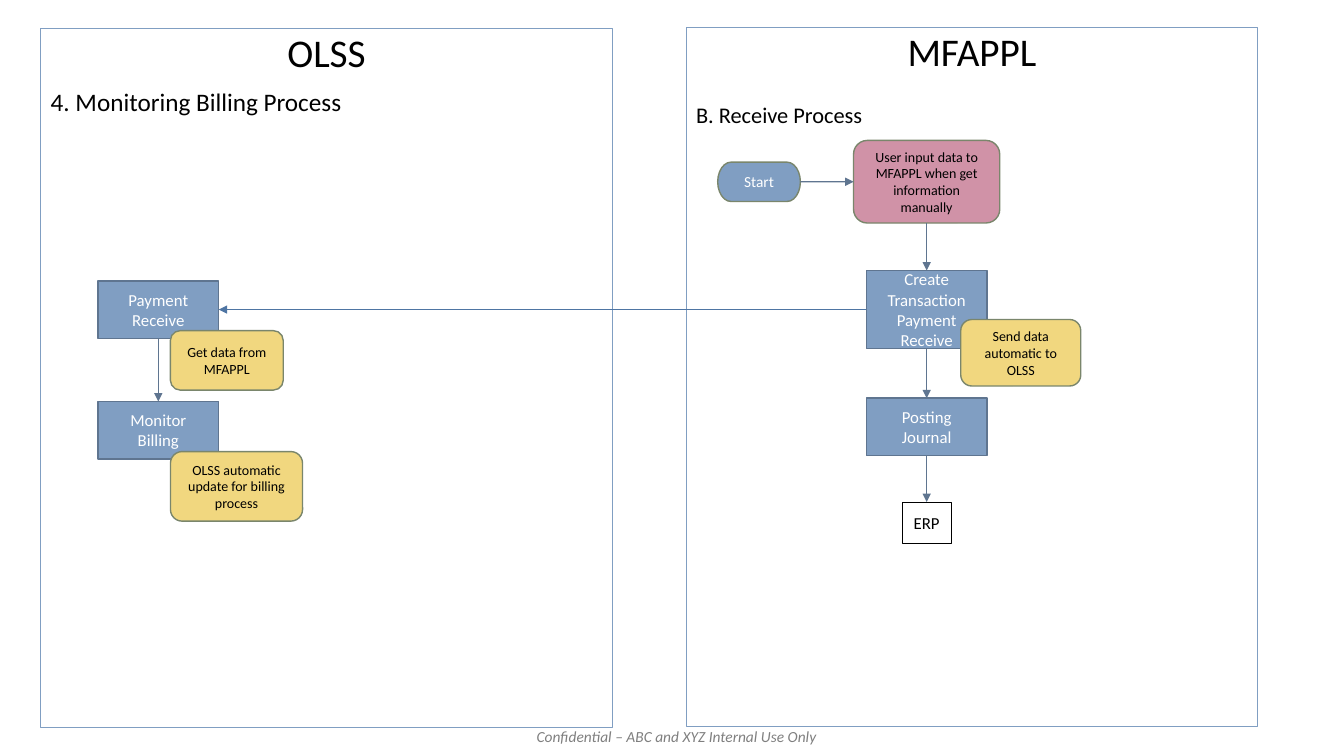
import dataclasses
import typing

import lxml.etree
import pptx
import pptx.dml.color
import pptx.enum.shapes
import pptx.enum.text
import pptx.oxml.ns
import pptx.util

ShapeKind = pptx.enum.shapes.MSO_SHAPE
Align = pptx.enum.text.PP_ALIGN
Anchor = pptx.enum.text.MSO_ANCHOR
TOP, LEFT, BOTTOM, RIGHT = range(4)


@dataclasses.dataclass(frozen=True)
class Theme:
    font: str = "Calibri"
    blue: str = "809EC2"
    slate: str = "5F7590"
    link: str = "4E75A3"
    olive: str = "7A866C"
    yellow: str = "F1D77F"
    pink: str = "D092A7"
    gray: str = "7F7F7F"
    white: str = "FFFFFF"
    black: str = "000000"
    heading: int = 28
    step: int = 12
    small: int = 11
    note: int = 10


THEME = Theme()


@dataclasses.dataclass(frozen=True)
class Style:
    kind: ShapeKind
    fill: typing.Optional[str]
    line: str
    line_width: float
    size: int
    color: str


STEP = Style(ShapeKind.RECTANGLE, THEME.blue, THEME.slate, 1, THEME.step, THEME.white)
NOTE = Style(ShapeKind.ROUNDED_RECTANGLE, THEME.yellow, THEME.olive, 1, THEME.note, THEME.black)
MANUAL = dataclasses.replace(NOTE, fill=THEME.pink)
START = Style(ShapeKind.FLOWCHART_TERMINATOR, THEME.blue, THEME.olive, 1, THEME.small, THEME.white)
SYSTEM = Style(ShapeKind.RECTANGLE, THEME.white, THEME.black, 0.5, THEME.step, THEME.black)
PANEL = Style(ShapeKind.RECTANGLE, None, THEME.blue, 0.75, THEME.heading, THEME.black)


# Lengths are columns and rows of a grid of 100 by 100 cells
@dataclasses.dataclass(frozen=True)
class Box:
    text: str
    style: Style
    center: float
    top: float
    width: float
    height: float


@dataclasses.dataclass(frozen=True)
class Panel:
    box: Box
    subtitle: str
    subtitle_size: int
    space_before: int


@dataclasses.dataclass(frozen=True)
class Link:
    start: str
    start_side: int
    end: str
    end_side: int
    color: str = THEME.slate
    width: float = 1


OLSS_AXIS, MFAPPL_AXIS = 11.78, 68.95
PANELS = [
    Panel(Box("OLSS", PANEL, 24.3, 3.73, 42.53, 92.53), "4. Monitoring Billing Process", 18, 10),
    Panel(Box("MFAPPL", PANEL, 72.32, 3.6, 42.53, 92.53), "B. Receive Process", 16, 21),
]
BOXES = {
    "payment": Box("Payment Receive", STEP, OLSS_AXIS, 37.15, 9, 7.6),
    "monitor": Box("Monitor Billing", STEP, OLSS_AXIS, 53.1, 9, 7.6),
    "start": Box("Start", START, 56.48, 21.45, 6.15, 5.2),
    "input": Box("User input data to MFAPPL when get information manually",
                 MANUAL, MFAPPL_AXIS, 18.58, 10.88, 10.93),
    "create": Box("Create Transaction Payment Receive", STEP, MFAPPL_AXIS, 35.77, 9, 10.35),
    "posting": Box("Posting Journal", STEP, MFAPPL_AXIS, 52.67, 9, 7.6),
    "system": Box("ERP", SYSTEM, MFAPPL_AXIS, 66.4, 3.6, 5.5),
}
LINKS = [
    Link("payment", BOTTOM, "monitor", TOP),
    Link("start", RIGHT, "input", LEFT),
    Link("input", BOTTOM, "create", TOP),
    Link("create", BOTTOM, "posting", TOP),
    Link("posting", BOTTOM, "system", TOP),
    Link("create", LEFT, "payment", RIGHT, THEME.link, 0.5),
]
NOTES = [
    Box("Get data from MFAPPL", NOTE, 16.88, 43.73, 8.4, 7.87),
    Box("OLSS automatic update for billing process", NOTE, 17.6, 59.73, 9.83, 9.2),
    Box("Send data automatic to OLSS", NOTE, 75.95, 42.27, 8.93, 8.8),
]

presentation = pptx.Presentation()
presentation.slide_width = pptx.util.Inches(13.33)
presentation.slide_height = pptx.util.Inches(7.5)
slide = presentation.slides.add_slide(presentation.slide_layouts[6])


def rgb(value: str) -> pptx.dml.color.RGBColor:
    return pptx.dml.color.RGBColor.from_string(value)


def columns(count: float) -> int:
    return round(presentation.slide_width * count / 100)


def rows(count: float) -> int:
    return round(presentation.slide_height * count / 100)


def write_text(paragraph, text: str, *, size: int, color: str = THEME.black,
               align: Align = Align.CENTER, italic: bool = False,
               line_spacing: typing.Optional[float] = None, space_before: int = 0) -> None:
    paragraph.alignment = align
    paragraph.line_spacing = line_spacing
    paragraph.space_before = pptx.util.Pt(space_before)
    run = paragraph.add_run()
    run.text = text
    run.font.name = THEME.font
    run.font.size = pptx.util.Pt(size)
    run.font.italic = italic
    run.font.color.rgb = rgb(color)


def draw_box(box: Box, *, anchor: Anchor = Anchor.MIDDLE,
             line_spacing: typing.Optional[float] = None):
    style = box.style
    shape = slide.shapes.add_shape(style.kind, columns(box.center - box.width / 2), rows(box.top),
                                   columns(box.width), rows(box.height))
    shape.shadow.inherit = False
    if style.fill is None:
        shape.fill.background()
    else:
        shape.fill.solid()
        shape.fill.fore_color.rgb = rgb(style.fill)
    shape.line.color.rgb = rgb(style.line)
    shape.line.width = pptx.util.Pt(style.line_width)
    frame = shape.text_frame
    frame.word_wrap = True
    frame.vertical_anchor = anchor
    write_text(frame.paragraphs[0], box.text, size=style.size, color=style.color,
               line_spacing=line_spacing)
    return shape


def draw_panel(panel: Panel) -> None:
    shape = draw_box(panel.box, anchor=Anchor.TOP, line_spacing=0.9)
    write_text(shape.text_frame.add_paragraph(), panel.subtitle, size=panel.subtitle_size,
               align=Align.LEFT, line_spacing=0.9, space_before=panel.space_before)


def draw_link(link: Link, shapes: dict) -> None:
    connector = slide.shapes.add_connector(pptx.enum.shapes.MSO_CONNECTOR.STRAIGHT, 0, 0, 0, 0)
    connector.begin_connect(shapes[link.start], link.start_side)
    connector.end_connect(shapes[link.end], link.end_side)
    connector.line.color.rgb = rgb(link.color)
    connector.line.width = pptx.util.Pt(link.width)
    qualified = pptx.oxml.ns.qn
    properties = connector.element.spPr
    lxml.etree.SubElement(properties.find(qualified("a:ln")), qualified("a:tailEnd"), type="triangle")
    lxml.etree.SubElement(properties, qualified("a:effectLst"))


# Footer, wide enough for a single line
footer = slide.shapes.add_textbox(columns(36.95), rows(95.47), columns(26.8), rows(3.87))
footer.text_frame.word_wrap = True
footer.text_frame.vertical_anchor = Anchor.MIDDLE
write_text(footer.text_frame.paragraphs[0], "Confidential – ABC and XYZ Internal Use Only",
           size=THEME.small, color=THEME.gray, italic=True)

# System panels
for panel in PANELS:
    draw_panel(panel)

# Process flow
box_shapes = {name: draw_box(box) for name, box in BOXES.items()}
for link in LINKS:
    draw_link(link, box_shapes)

# Notes overlapping the steps
for note in NOTES:
    draw_box(note)

presentation.save("out.pptx")
